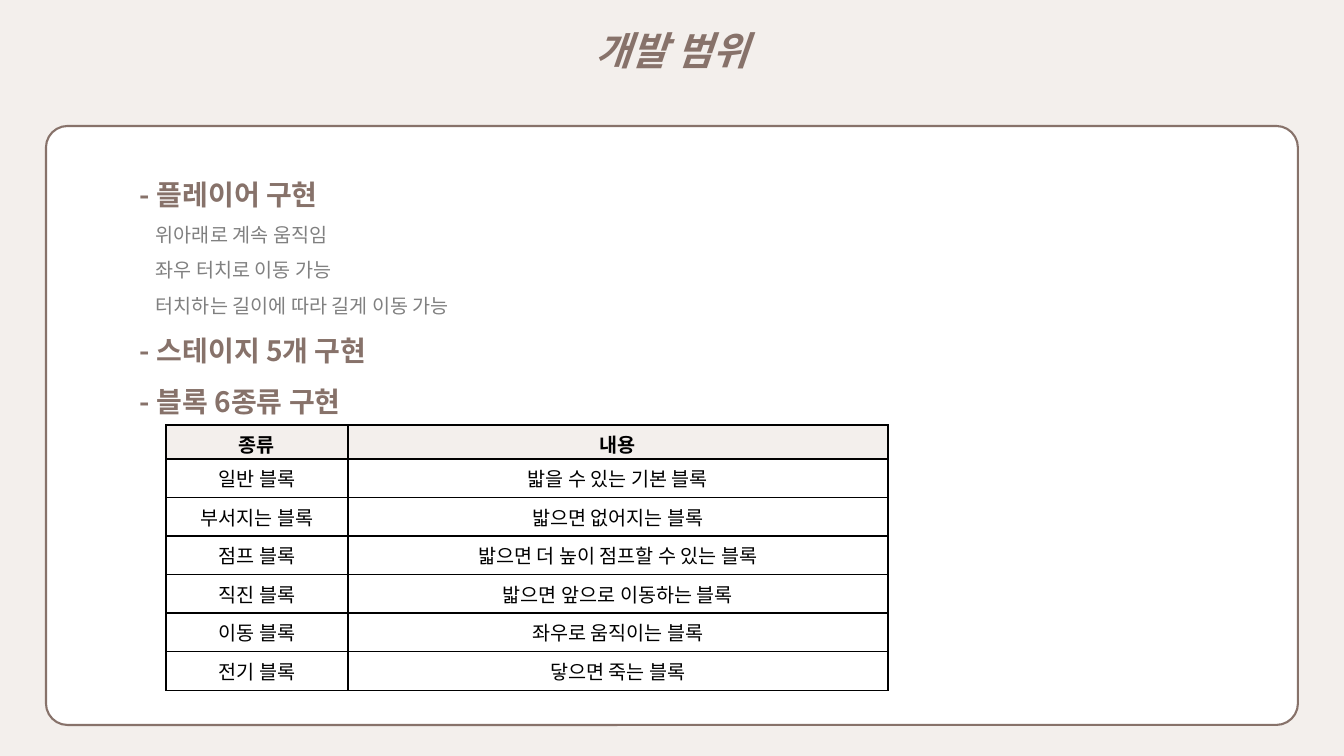
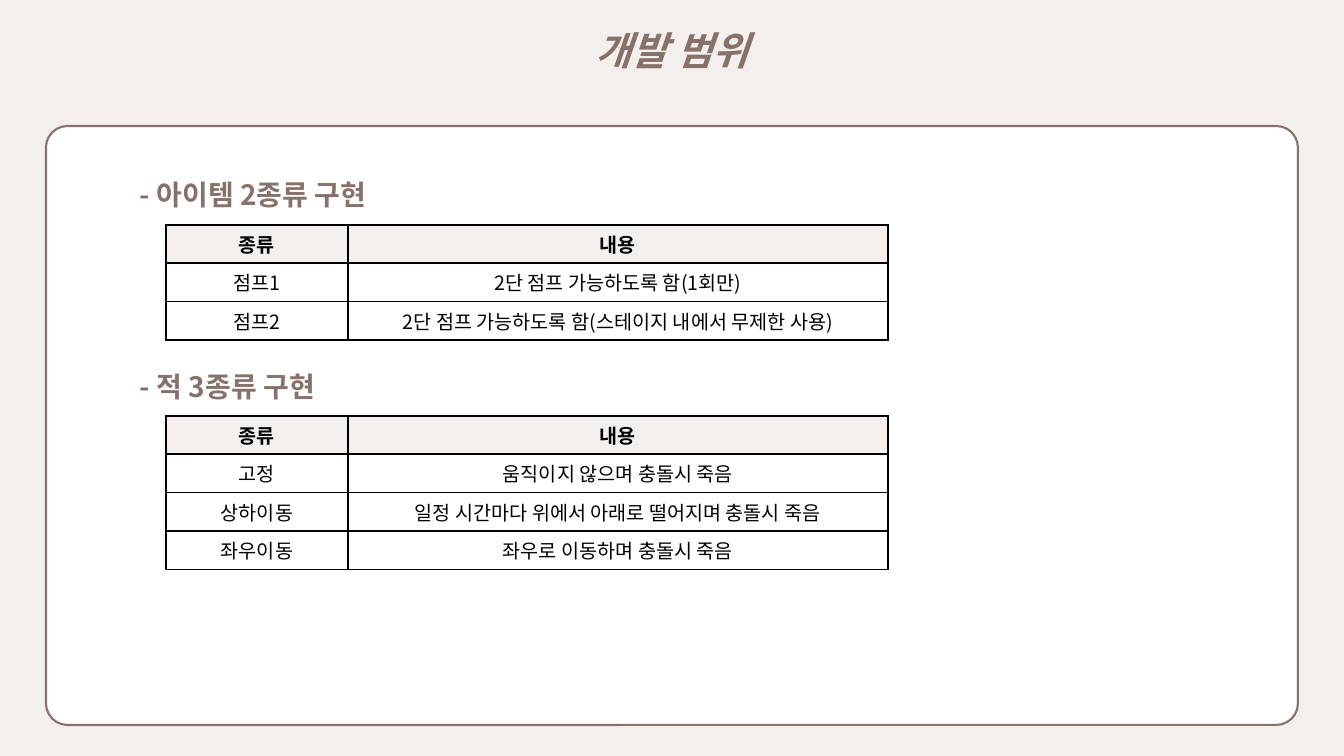
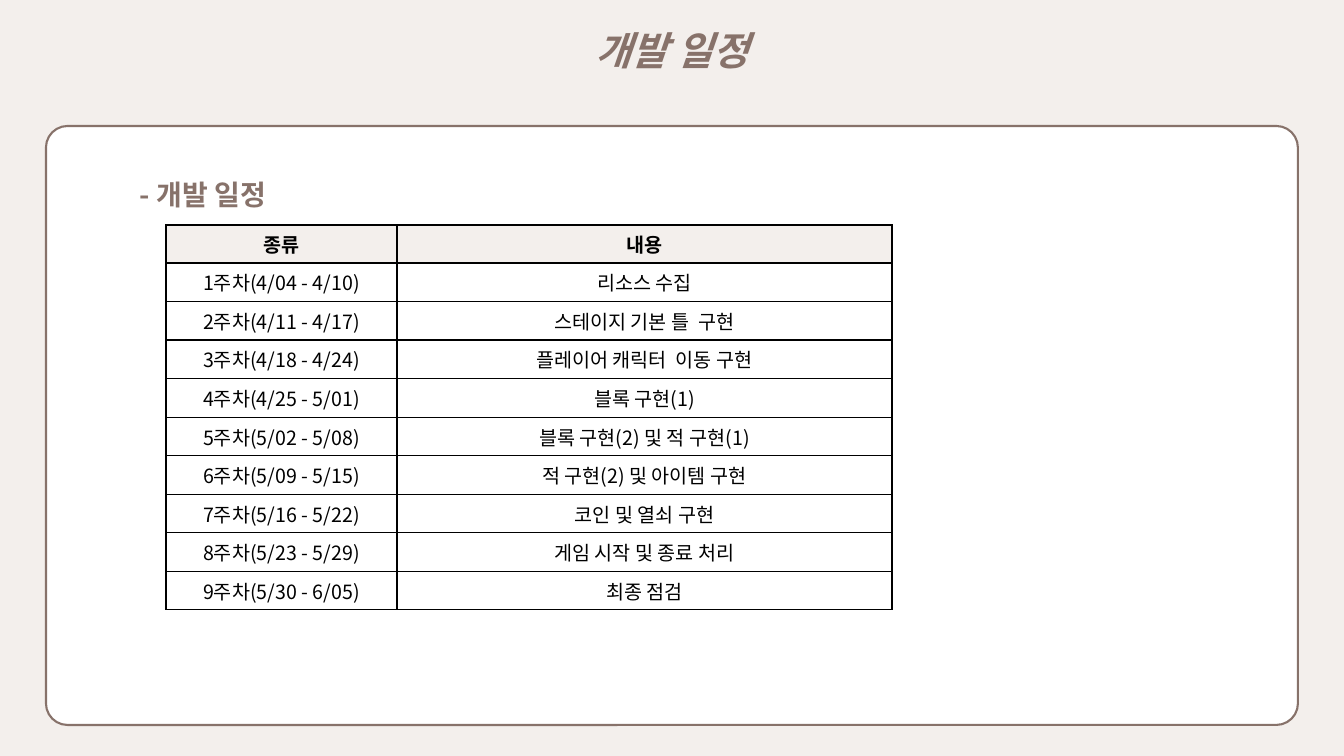
from dataclasses import dataclass
from lxml.etree import SubElement
from pptx import Presentation
from pptx.dml.color import RGBColor
from pptx.enum.shapes import MSO_SHAPE
from pptx.enum.text import MSO_ANCHOR, PP_ALIGN
from pptx.oxml.ns import qn
from pptx.util import Emu, Pt

FONT = "Noto Sans CJK KR"
BROWN, CREAM, WHITE, GRAY, BLACK = "87726A", "F3EFEC", "FFFFFF", "808080", "000000"
HEADER = ("종류", "내용")


@dataclass
class Line:
    text: str
    detail: bool = False


@dataclass
class TextBlock:
    top: int
    height: int
    lines: list[Line]


@dataclass
class Grid:
    top: int
    rows: list[tuple[str, str]]
    cols: tuple[int, int] = (182, 540)
    header_height: int = 38


@dataclass
class Page:
    title: str
    texts: list[TextBlock]
    grids: list[Grid]


def px(n: float) -> Emu:
    """Convert pixels to EMU."""
    return Emu(round(n * 914400 / 100.8))


ROW_HEIGHT = px(38.57)


def rgb(value: str) -> RGBColor:
    """Return the colour of a hex string."""
    return RGBColor.from_string(value)


def style(p, size: int, color: str, bold: bool = False, italic: bool = False) -> None:
    """Set the font of a paragraph, for Latin and Korean text."""
    f = p.font
    f.name, f.size, f.bold, f.italic = FONT, Pt(size), bold, italic
    f.color.rgb = rgb(color)
    SubElement(f._element, qn("a:ea"), typeface=FONT)


def add_title(s, text: str) -> None:
    """Place and format the slide title."""
    sp = s.shapes.title
    sp.left, sp.top, sp.width, sp.height = px(345), px(-2), px(654), px(73)
    tf = sp.text_frame
    tf.text = text
    tf.vertical_anchor = MSO_ANCHOR.TOP
    p = tf.paragraphs[0]
    p.alignment, p.line_spacing = PP_ALIGN.CENTER, 1.5
    style(p, 28, BROWN, bold=True, italic=True)


def add_card(s) -> None:
    """Draw the rounded white panel."""
    sp = s.shapes.add_shape(MSO_SHAPE.ROUNDED_RECTANGLE, px(46), px(126), px(1252), px(599))
    sp.adjustments[0] = 0.036
    sp.shadow.inherit = False
    sp.fill.solid()
    sp.fill.fore_color.rgb = rgb(WHITE)
    sp.line.color.rgb = rgb(BROWN)
    sp.line.width = Pt(1.5)


def add_text(s, block: TextBlock) -> None:
    """Write headings and their indented details."""
    sp = s.shapes.add_textbox(px(130), px(block.top), px(901), px(block.height))
    tf = sp.text_frame
    tf.word_wrap = True
    for i, line in enumerate(block.lines):
        p = tf.add_paragraph() if i else tf.paragraphs[0]
        p.text = line.text
        p.line_spacing = 1.5
        if line.detail:
            p._p.get_or_add_pPr().set("marL", str(px(16)))
            style(p, 14, GRAY)
        else:
            style(p, 20, BROWN, bold=True)


def add_borders(cell) -> None:
    """Draw black lines on the four sides of a cell."""
    for side in ("lnL", "lnR", "lnT", "lnB"):
        ln = SubElement(cell._tc.get_or_add_tcPr(), qn(f"a:{side}"), w=str(Pt(1)))
        SubElement(SubElement(ln, qn("a:solidFill")), qn("a:srgbClr"), val=BLACK)


def add_grid(s, grid: Grid) -> None:
    """Build a two-column table with a tinted header."""
    rows = [HEADER, *grid.rows]
    heights = [px(grid.header_height)] + [ROW_HEIGHT] * len(grid.rows)
    frame = s.shapes.add_table(len(rows), 2, px(166), px(grid.top), px(sum(grid.cols)), Emu(sum(heights)))
    table = frame.table
    table.first_row = table.horz_banding = False
    for col, width in zip(table.columns, grid.cols):
        col.width = px(width)
    for r, (values, height) in enumerate(zip(rows, heights)):
        table.rows[r].height = height
        for c, value in enumerate(values):
            cell = table.cell(r, c)
            cell.text = value
            add_borders(cell)
            if r == 0:
                cell.fill.solid()
                cell.fill.fore_color.rgb = rgb(CREAM)
            else:
                cell.fill.background()
            p = cell.text_frame.paragraphs[0]
            p.alignment = PP_ALIGN.CENTER
            style(p, 14, BLACK, bold=r == 0)


def add_page(prs, page: Page) -> None:
    """Add one slide with its card, texts and tables."""
    s = prs.slides.add_slide(prs.slide_layouts.get_by_name("Title Only"))
    add_title(s, page.title)
    add_card(s)
    for block in page.texts:
        add_text(s, block)
    for grid in page.grids:
        add_grid(s, grid)


PAGES = [
    Page("개발 범위", [
        TextBlock(156, 300, [
            Line("- 플레이어 구현"),
            Line("위아래로 계속 움직임", detail=True),
            Line("좌우 터치로 이동 가능", detail=True),
            Line("터치하는 길이에 따라 길게 이동 가능", detail=True),
            Line("- 스테이지 5개 구현"),
            Line("- 블록 6종류 구현"),
        ]),
    ], [
        Grid(425, [
            ("일반 블록", "밟을 수 있는 기본 블록"),
            ("부서지는 블록", "밟으면 없어지는 블록"),
            ("점프 블록", "밟으면 더 높이 점프할 수 있는 블록"),
            ("직진 블록", "밟으면 앞으로 이동하는 블록"),
            ("이동 블록", "좌우로 움직이는 블록"),
            ("전기 블록", "닿으면 죽는 블록"),
        ], header_height=34),
    ]),
    Page("개발 범위", [
        TextBlock(156, 54, [Line("- 아이템 2종류 구현")]),
        TextBlock(348, 54, [Line("- 적 3종류 구현")]),
    ], [
        Grid(225, [
            ("점프1", "2단 점프 가능하도록 함(1회만)"),
            ("점프2", "2단 점프 가능하도록 함(스테이지 내에서 무제한 사용)"),
        ]),
        Grid(416, [
            ("고정", "움직이지 않으며 충돌시 죽음"),
            ("상하이동", "일정 시간마다 위에서 아래로 떨어지며 충돌시 죽음"),
            ("좌우이동", "좌우로 이동하며 충돌시 죽음"),
        ]),
    ]),
    Page("개발 일정", [
        TextBlock(156, 54, [Line("- 개발 일정")]),
    ], [
        Grid(225, [
            ("1주차(4/04 - 4/10)", "리소스 수집"),
            ("2주차(4/11 - 4/17)", "스테이지 기본 틀  구현"),
            ("3주차(4/18 - 4/24)", "플레이어 캐릭터  이동 구현"),
            ("4주차(4/25 - 5/01)", "블록 구현(1)"),
            ("5주차(5/02 - 5/08)", "블록 구현(2) 및 적 구현(1)"),
            ("6주차(5/09 - 5/15)", "적 구현(2) 및 아이템 구현"),
            ("7주차(5/16 - 5/22)", "코인 및 열쇠 구현"),
            ("8주차(5/23 - 5/29)", "게임 시작 및 종료 처리"),
            ("9주차(5/30 - 6/05)", "최종 점검"),
        ], cols=(231, 495)),
    ]),
]


def main() -> None:
    """Build and save the presentation."""
    prs = Presentation()
    prs.slide_width, prs.slide_height = px(1344), px(756)
    fill = prs.slide_master.background.fill
    fill.solid()
    fill.fore_color.rgb = rgb(CREAM)
    for page in PAGES:
        add_page(prs, page)
    prs.save("out.pptx")


main()
